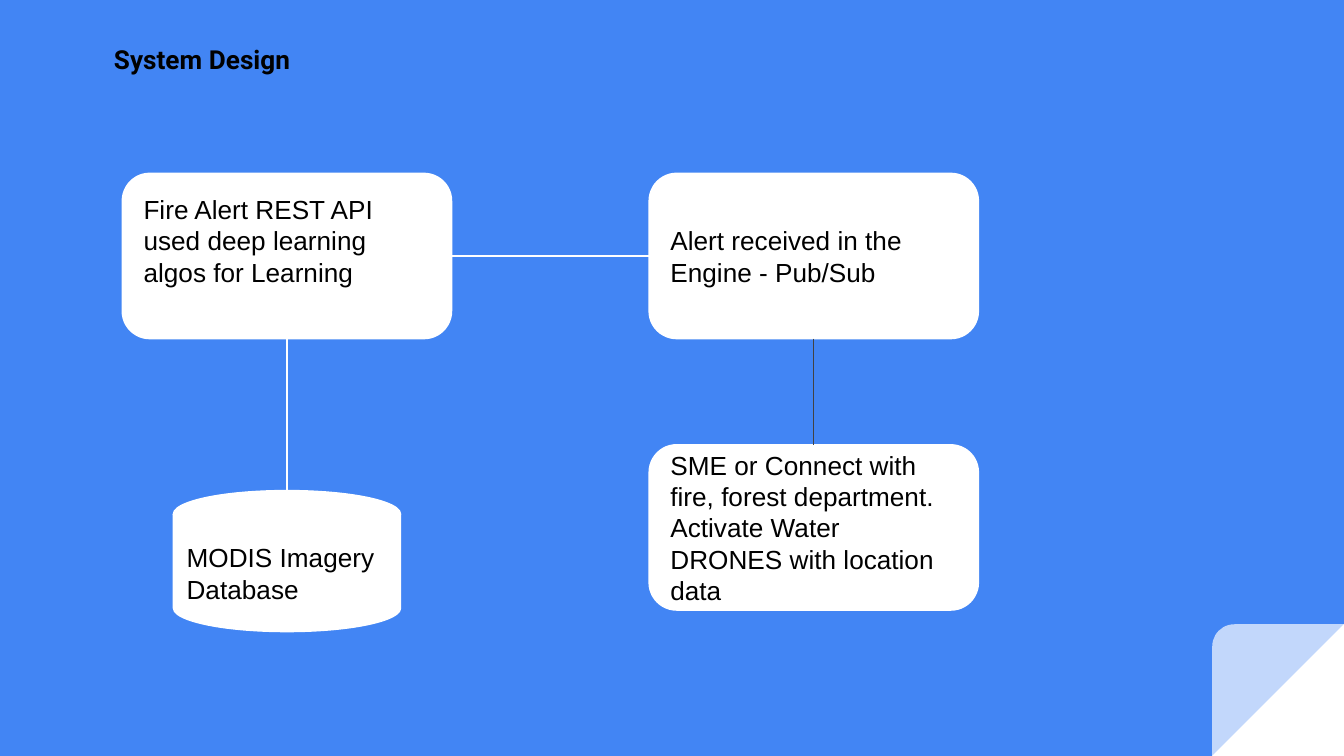
from dataclasses import dataclass

from lxml.etree import SubElement
from pptx import Presentation
from pptx.dml.color import RGBColor
from pptx.enum.shapes import MSO_CONNECTOR, MSO_SHAPE
from pptx.enum.text import MSO_ANCHOR, PP_ALIGN
from pptx.oxml.ns import qn
from pptx.util import Inches, Pt


@dataclass(frozen=True)
class Theme:
    background: RGBColor = RGBColor(0x42, 0x85, 0xF4)
    white: RGBColor = RGBColor(0xFF, 0xFF, 0xFF)
    text: RGBColor = RGBColor(0, 0, 0)
    dark_line: RGBColor = RGBColor(0x42, 0x42, 0x42)
    size: Pt = Pt(14)
    line_width: Pt = Pt(0.75)
    body_font: str = "Arial"
    title_font: str = "Roboto"
    inset: float = 0.1


THEME = Theme()
SLIDE_W, SLIDE_H = 10, 10 * 9 / 16
TOP, LEFT, BOTTOM, RIGHT = range(4)


def set_text(sp, paragraphs, font=THEME.body_font, bold=False, room_below=0):
    """Fill a shape with text; room_below lifts it above the middle."""
    tf = sp.text_frame
    inset = Inches(THEME.inset)
    frame = {"word_wrap": True, "margin_left": inset, "margin_right": inset,
             "margin_top": inset, "margin_bottom": inset + Inches(room_below)}
    for name, value in frame.items():
        setattr(tf, name, value)
    for i, text in enumerate(paragraphs):
        p = tf.add_paragraph() if i else tf.paragraphs[0]
        p.alignment = PP_ALIGN.LEFT
        r = p.add_run()
        r.text = text
        for name, value in {"name": font, "size": THEME.size, "bold": bold}.items():
            setattr(r.font, name, value)
        r.font.color.rgb = THEME.text


def add_white_shape(s, kind, box):
    sp = s.shapes.add_shape(kind, *map(Inches, box))
    sp.shadow.inherit = False
    sp.fill.solid()
    sp.fill.fore_color.rgb = THEME.white
    sp.line.fill.background()
    return sp


def add_node(s, kind, box, paragraphs, room_below=0):
    sp = add_white_shape(s, kind, box)
    sp.line.color.rgb = THEME.white
    sp.line.width = THEME.line_width
    sp.text_frame.vertical_anchor = MSO_ANCHOR.MIDDLE
    set_text(sp, paragraphs, room_below=room_below)
    return sp


def add_link(s, start, start_side, end, end_side, color):
    """Join two nodes; a disk numbers its sites differently, so only meet its top."""
    c = s.shapes.add_connector(MSO_CONNECTOR.STRAIGHT, 0, 0,
                               end.left + end.width // 2, end.top)
    c.begin_connect(start, start_side)
    if end.auto_shape_type != MSO_SHAPE.FLOWCHART_MAGNETIC_DISK:
        c.end_connect(end, end_side)
    c.line.color.rgb = color
    c.line.width = THEME.line_width
    SubElement(c._element.spPr, qn("a:effectLst"))


def add_folded_corner(s, box):
    fold = add_white_shape(s, MSO_SHAPE.RIGHT_TRIANGLE, box)
    sheet = add_white_shape(s, MSO_SHAPE.ROUND_1_RECTANGLE, box)
    sheet.adjustments[0] = 0.167
    for sp in (fold, sheet):
        sp._element.spPr.find(qn("a:xfrm")).set("flipH", "1")
    color = sheet._element.spPr.find(qn("a:solidFill"))[0]
    SubElement(color, qn("a:alpha")).set("val", "68000")


def add_title(s, box, text):
    set_text(s.shapes.add_textbox(*map(Inches, box)), [text],
             font=THEME.title_font, bold=True)


def add_diagram(s, box):
    left, top, width, height = box
    node_w, node_h = 2.45, 1.23
    disk_w, disk_h = 1.69, 1.05
    right, lower = left + width - node_w, top + height - disk_h
    process, disk = MSO_SHAPE.FLOWCHART_ALTERNATE_PROCESS, MSO_SHAPE.FLOWCHART_MAGNETIC_DISK

    api = add_node(s, process, (left, top, node_w, node_h),
                   ["Fire Alert REST API used deep learning algos for Learning"],
                   room_below=0.23)
    engine = add_node(s, process, (right, top, node_w, node_h),
                      ["Alert received in the Engine - Pub/Sub"])
    database = add_node(s, disk, (left + (node_w - disk_w) / 2, lower, disk_w, disk_h),
                        ["MODIS Imagery Database"])
    response = add_node(s, process, (right, top + 2.02, node_w, node_h),
                        ["SME or Connect with fire, forest department.",
                         "Activate Water DRONES with location data"])

    add_link(s, api, BOTTOM, database, TOP, THEME.white)
    add_link(s, api, RIGHT, engine, LEFT, THEME.white)
    add_link(s, engine, BOTTOM, response, TOP, THEME.dark_line)


def main():
    prs = Presentation()
    prs.slide_width, prs.slide_height = Inches(SLIDE_W), Inches(SLIDE_H)
    s = prs.slides.add_slide(prs.slide_layouts[6])
    s.background.fill.solid()
    s.background.fill.fore_color.rgb = THEME.background
    corner = 0.98
    add_folded_corner(s, (SLIDE_W - corner, SLIDE_H - corner, corner, corner))
    add_title(s, (0.75, 0.22, 6.73, 0.4), "System Design")
    add_diagram(s, (0.91, 1.29, 6.37, 3.41))
    prs.save("out.pptx")


if __name__ == "__main__":
    main()
